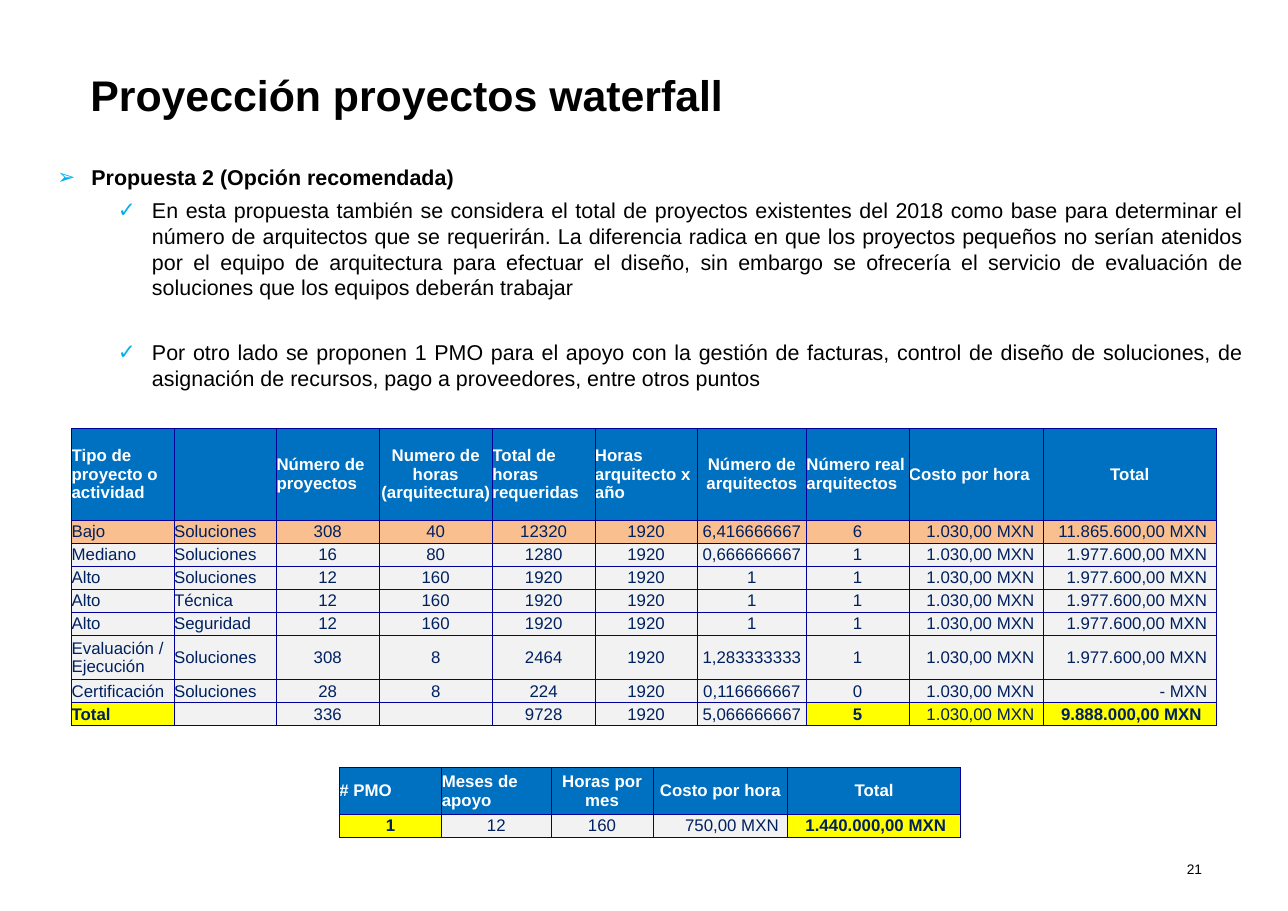
from lxml import etree
from pptx import Presentation
from pptx.dml.color import RGBColor
from pptx.enum.text import MSO_ANCHOR, PP_ALIGN
from pptx.oxml.ns import qn
from pptx.util import Inches, Pt

MIDDLE = MSO_ANCHOR.MIDDLE
TOP = MSO_ANCHOR.TOP
ALIGN = {"l": PP_ALIGN.LEFT, "c": PP_ALIGN.CENTER,
         "r": PP_ALIGN.RIGHT, "j": PP_ALIGN.JUSTIFY}
FONT = "Arial"
HEX = {"black": "000000", "white": "FFFFFF", "navy": "002060",
       "head": "0070C0", "grey": "F2F2F2", "peach": "FABF8F",
       "yellow": "FFFF00", "border": "000099", "bullet": "00B0F0"}

# Content
TITLE = "Proyección proyectos waterfall"
PAGE = "21"
# text, bullet, level, left indent, space before, bold
BODY = [
    ("Propuesta 2 (Opción recomendada)", "➢", 0, 0.31, 0, True),
    ("En esta propuesta también se considera el total de proyectos existentes "
     "del 2018 como base para determinar el número de arquitectos que se "
     "requerirán. La diferencia radica en que los proyectos pequeños no serían "
     "atenidos por el equipo de arquitectura para efectuar el diseño, sin "
     "embargo se ofrecería el servicio de evaluación de soluciones que los "
     "equipos deberán trabajar", "✓", 1, 0.86, 5, False),
    ("Por otro lado se proponen 1 PMO para el apoyo con la gestión de facturas, "
     "control de diseño de soluciones, de asignación de recursos, pago a "
     "proveedores, entre otros puntos", "✓", 1, 0.86, 25.5, False),
]
RATE = "1.030,00 MXN"
COST = "1.977.600,00 MXN"
COSTS = {
    "at": (0.65, 3.89),
    "cols": [0.93, 0.93, 0.93, 1.03, 0.93, 0.93, 0.99, 0.93, 1.22, 1.57],
    "rows": [0.83] + [0.21] * 5 + [0.4, 0.21, 0.21],
    "align": ("lllcllcllc", "llccccccrr"),
    "cells": [
        ("Tipo de proyecto o actividad", "", "Número de proyectos",
         "Numero de horas (arquitectura)", "Total de horas requeridas",
         "Horas arquitecto x año", "Número de arquitectos",
         "Número real arquitectos", "Costo por hora", "Total"),
        ("Bajo", "Soluciones", "308", "40", "12320", "1920", "6,416666667",
         "6", RATE, "11.865.600,00 MXN"),
        ("Mediano", "Soluciones", "16", "80", "1280", "1920", "0,666666667",
         "1", RATE, COST),
        ("Alto", "Soluciones", "12", "160", "1920", "1920", "1", "1", RATE, COST),
        ("Alto", "Técnica", "12", "160", "1920", "1920", "1", "1", RATE, COST),
        ("Alto", "Seguridad", "12", "160", "1920", "1920", "1", "1", RATE, COST),
        ("Evaluación / Ejecución", "Soluciones", "308", "8", "2464", "1920",
         "1,283333333", "1", RATE, COST),
        ("Certificación", "Soluciones", "28", "8", "224", "1920",
         "0,116666667", "0", RATE, "- MXN"),
        ("Total", "", "336", "", "9728", "1920", "5,066666667", "5", RATE,
         "9.888.000,00 MXN"),
    ],
    "peach": {(1, c) for c in range(10)},
    "yellow": {(8, 0), (8, 7), (8, 8), (8, 9)},
    "bold": {(8, 0), (8, 7), (8, 9)},
}
PMO = {
    "at": (3.08, 6.97),
    "cols": [0.93, 0.99, 0.93, 1.22, 1.57],
    "rows": [0.42, 0.21],
    "align": ("llccc", "cccrr"),
    "cells": [
        ("# PMO", "Meses de apoyo", "Horas por mes", "Costo por hora", "Total"),
        ("1", "12", "160", "750,00 MXN", "1.440.000,00 MXN"),
    ],
    "peach": set(),
    "yellow": {(1, 0), (1, 4)},
    "bold": {(1, 0), (1, 4)},
}

deck = Presentation()
deck.slide_width, deck.slide_height = Inches(11.69), Inches(8.27)
slide = deck.slides.add_slide(deck.slide_layouts[6])


def rgb(name):
    return RGBColor.from_string(HEX[name])


def write(para, text, size, color="black", bold=False, align="l"):
    para.alignment = ALIGN[align]
    run = para.add_run()
    run.text = text
    font = run.font
    font.name, font.size, font.bold = FONT, Pt(size), bold
    font.color.rgb = rgb(color)


def add_box(left, top, width, height, pad_x, pad_y, anchor=TOP):
    frame = slide.shapes.add_textbox(
        Inches(left), Inches(top), Inches(width), Inches(height)).text_frame
    frame.word_wrap = True
    frame.vertical_anchor = anchor
    frame.margin_left = frame.margin_right = Inches(pad_x)
    frame.margin_top = frame.margin_bottom = Inches(pad_y)
    return frame


def add_mark(para, mark, left):
    props = para._p.get_or_add_pPr()
    props.set("marL", str(Inches(left)))
    props.set("indent", str(-Inches(0.31)))
    tint = etree.SubElement(props, qn("a:buClr"))
    etree.SubElement(tint, qn("a:srgbClr"), val=HEX["bullet"])
    etree.SubElement(props, qn("a:buFont"), typeface=FONT)
    etree.SubElement(props, qn("a:buChar"), char=mark)


def add_edges(cell):
    props = cell._tc.get_or_add_tcPr()
    for spot, side in enumerate(("lnL", "lnR", "lnT", "lnB")):
        line = etree.Element(qn("a:" + side), w=str(Pt(0.5)))
        fill = etree.SubElement(line, qn("a:solidFill"))
        etree.SubElement(fill, qn("a:srgbClr"), val=HEX["border"])
        props.insert(spot, line)


def add_grid(data):
    cols, rows = data["cols"], data["rows"]
    left, top = data["at"]
    grid = slide.shapes.add_table(
        len(rows), len(cols), Inches(left), Inches(top),
        Inches(sum(cols)), Inches(sum(rows))).table
    for col, width in zip(grid.columns, cols):
        col.width = Inches(width)
    for row, height in zip(grid.rows, rows):
        row.height = Inches(height)
    for r, texts in enumerate(data["cells"]):
        for c, text in enumerate(texts):
            cell, spot, head = grid.cell(r, c), (r, c), r == 0
            bold = head or spot in data["bold"]
            align = data["align"][0 if head else 1][c]
            pad = (0.13 if bold else 0.08) if align == "r" else 0
            cell.margin_left = cell.margin_top = cell.margin_bottom = 0
            cell.margin_right = Inches(pad)
            cell.vertical_anchor = MIDDLE
            shade = ("head" if head else "yellow" if spot in data["yellow"]
                     else "peach" if spot in data["peach"] else "grey")
            cell.fill.solid()
            cell.fill.fore_color.rgb = rgb(shade)
            add_edges(cell)
            para = cell.text_frame.paragraphs[0]
            if text:
                write(para, text, 11, "white" if head else "navy", bold, align)
            else:
                etree.SubElement(para._p, qn("a:endParaRPr"), sz="1100")


# Page number
frame = add_box(8.29, 7.67, 2.73, 0.44, 0.11, 0.05, MIDDLE)
write(frame.paragraphs[0], PAGE, 9, align="r")

# Proposal text
frame = add_box(0.47, 1.44, 10.87, 2.2, 0.05, 0.05)
for i, (text, mark, level, left, gap, bold) in enumerate(BODY):
    para = frame.add_paragraph() if i else frame.paragraphs[0]
    para.level = level
    para.space_before = Pt(gap)
    add_mark(para, mark, left)
    write(para, text, 14, bold=bold, align="j")

# Title and tables
add_grid(PMO)
frame = add_box(0.82, 0.62, 8.89, 0.47, 0, 0)
write(frame.paragraphs[0], TITLE, 28, bold=True)
add_grid(COSTS)

deck.save("out.pptx")
